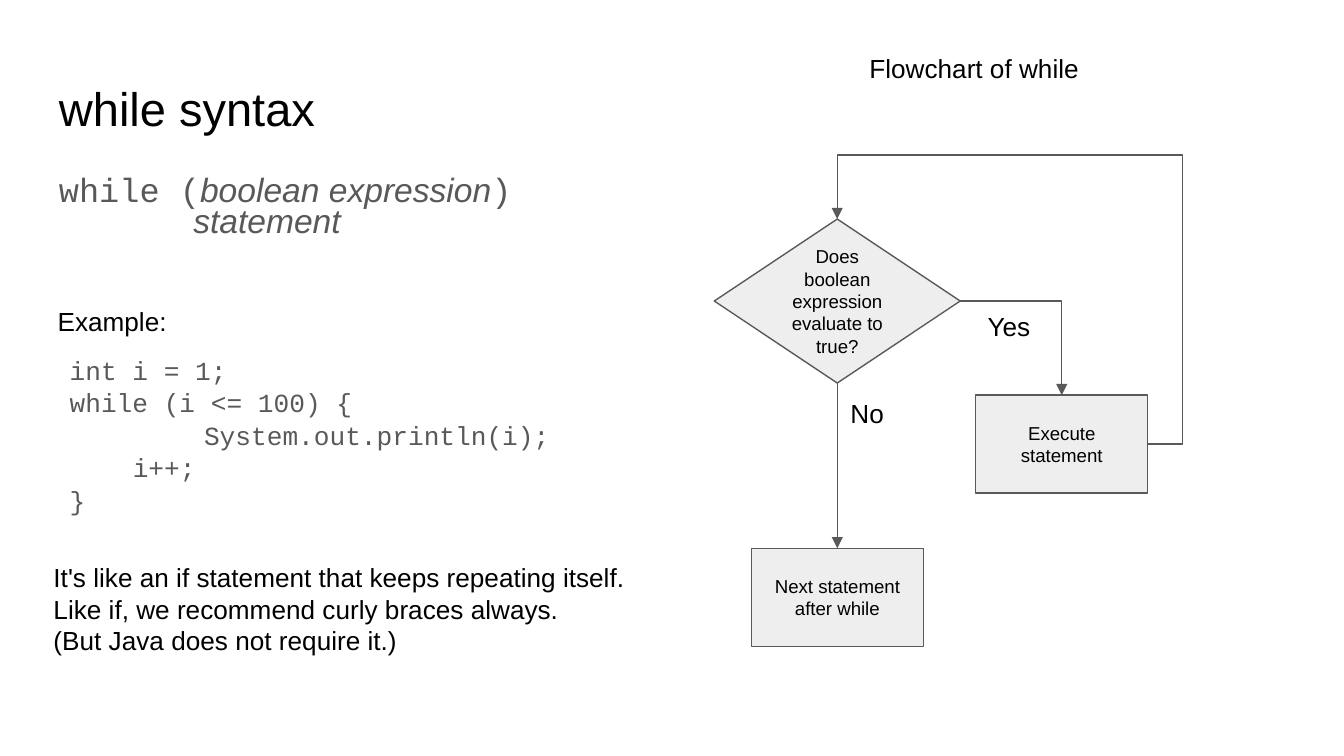
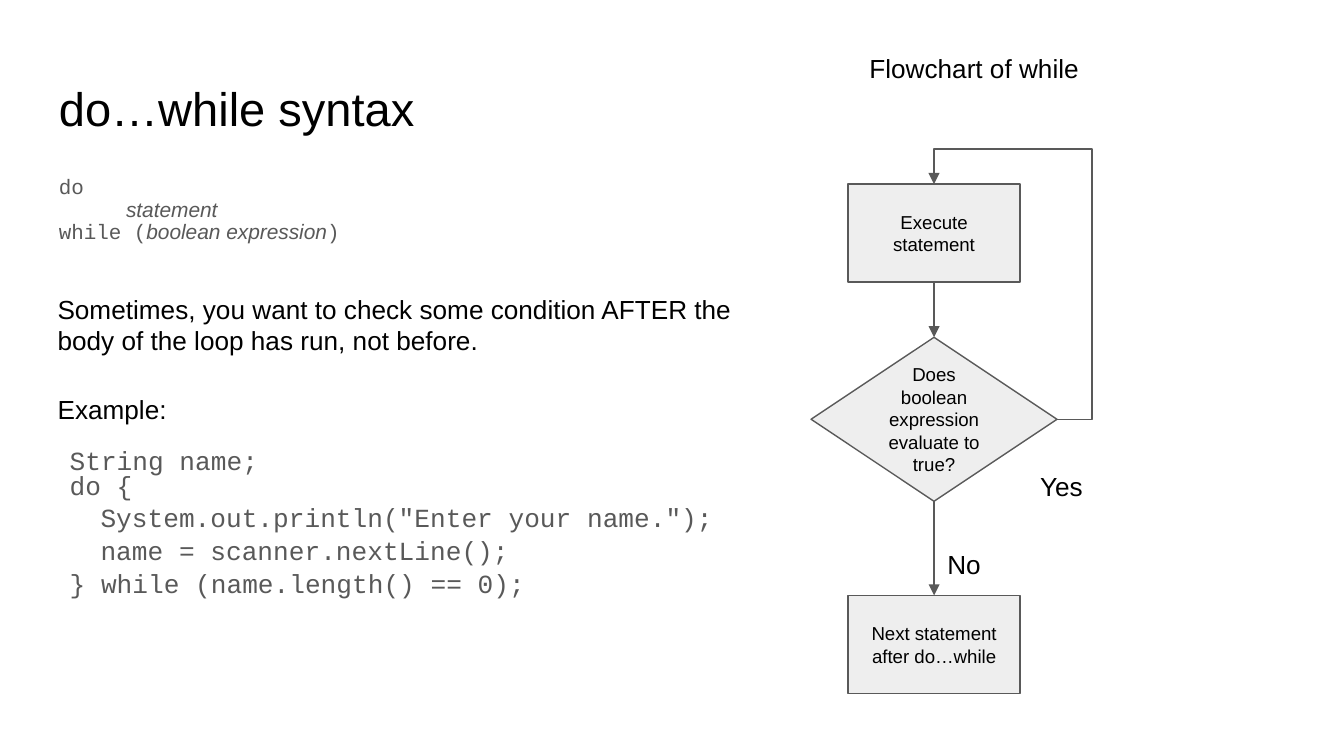
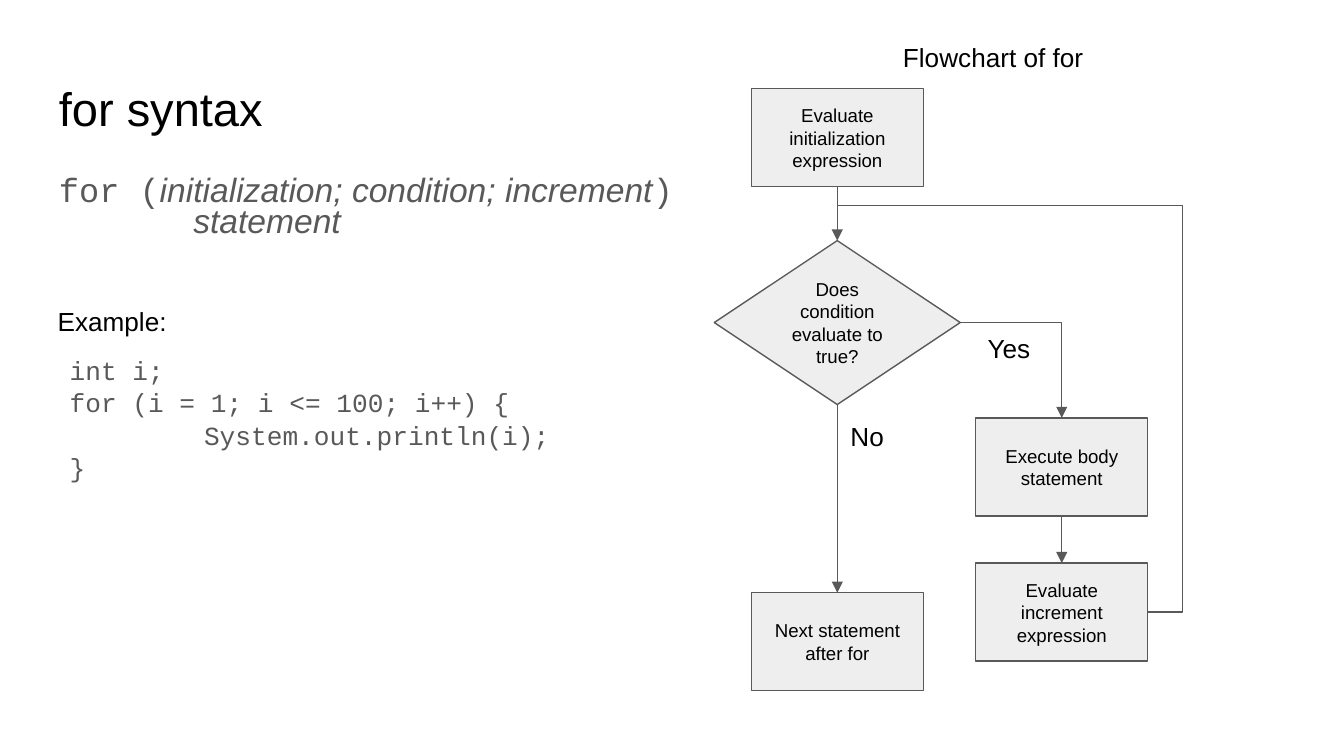
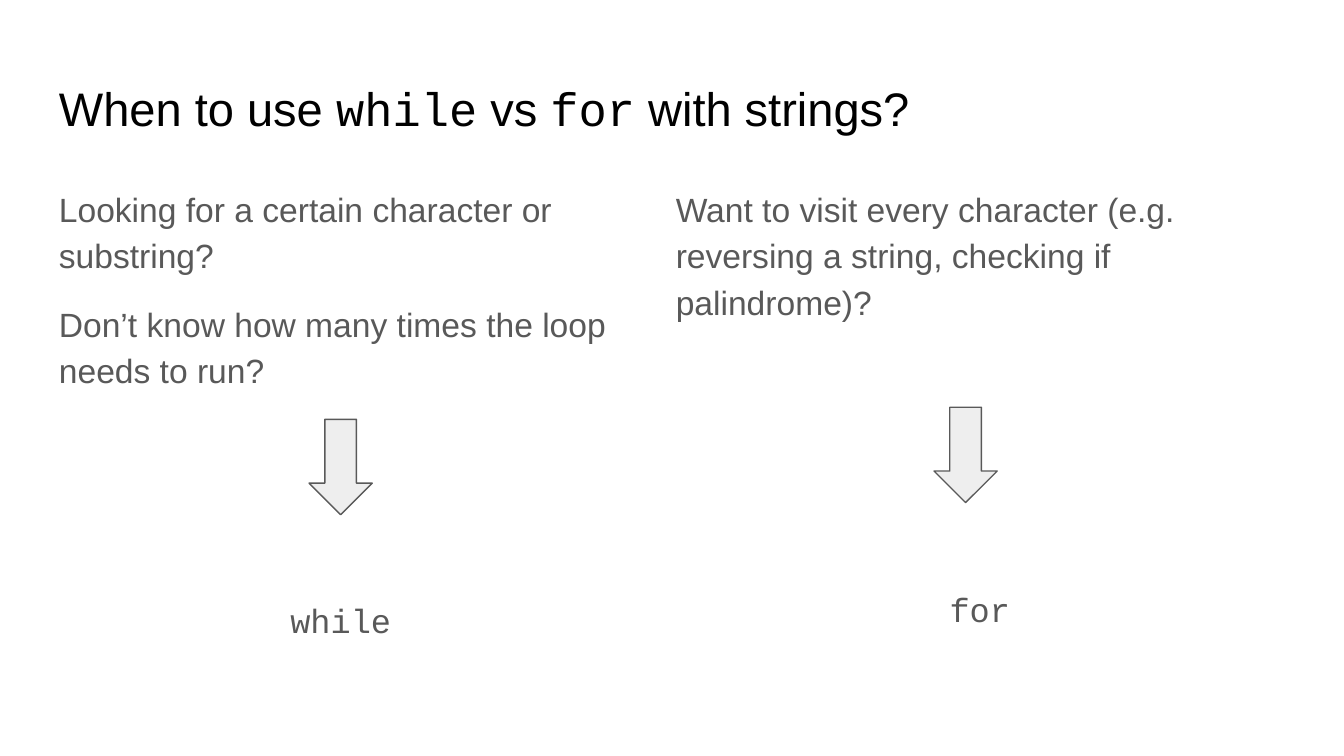
import lxml.etree
import pptx
import pptx.dml.color
import pptx.enum.shapes
import pptx.enum.text
import pptx.oxml.ns
import pptx.util

Inches, Pt = pptx.util.Inches, pptx.util.Pt
SHAPE = pptx.enum.shapes.MSO_SHAPE
LINK = pptx.enum.shapes.MSO_CONNECTOR
qn = pptx.oxml.ns.qn

COLORS = {"ink": "000000", "grey": "595959", "fill": "EEEEEE"}
SANS, MONO = "Arial", "Courier New"
TOP, LEFT, BOTTOM, RIGHT = range(4)

# Formats that the pages share
TITLE = {"size": 25.2}
BODY = {"size": 18, "color": "grey"}
CODE = {"font": MONO, "color": "grey", "spacing": 0.8, "before": 4}
SYNTAX = {"font": MONO, "color": "grey", "spacing": 0.6, "before": 4}
NODE = {"size": 10, "align": "CENTER", "anchor": "MIDDLE"}
NODE_KINDS = {
    "decision": (SHAPE.FLOWCHART_DECISION, 1.83, 1.22),
    "process": (SHAPE.RECTANGLE, 1.28, 0.73),
}


def write_box(page, text, at, preset=None, size=14, font=SANS, color="ink", spacing=None,
              before=0, indents=(), align="LEFT", anchor="TOP"):
    """Add a text box or preset shape; text lists paragraphs, a tuple in one is (text, font, italic)."""
    at = [Inches(length) for length in at]
    if preset is None:
        box = page.shapes.add_textbox(*at)
    else:
        box = page.shapes.add_shape(preset, *at)
        box.shadow.inherit = False
        box.fill.solid()
        box.fill.fore_color.rgb = pptx.dml.color.RGBColor.from_string(COLORS["fill"])
        box.line.color.rgb = pptx.dml.color.RGBColor.from_string(COLORS["grey"])
        box.line.width = Pt(0.75)
    frame = box.text_frame
    frame.word_wrap = True
    frame.vertical_anchor = getattr(pptx.enum.text.MSO_ANCHOR, anchor)
    frame.margin_left = frame.margin_right = frame.margin_top = frame.margin_bottom = Inches(0.1)
    for index, spans in enumerate(text):
        para = frame.paragraphs[0] if index == 0 else frame.add_paragraph()
        para.alignment = getattr(pptx.enum.text.PP_ALIGN, align)
        para.space_before = Pt(before)
        if spacing:
            para.line_spacing = spacing
        if indents and indents[index]:
            para._p.get_or_add_pPr().set("marL", str(Inches(indents[index])))
        for piece in [spans] if isinstance(spans, str) else spans:
            words, face, italic = (piece, font, False) if isinstance(piece, str) else piece
            for row, line in enumerate(words.split("\n")):
                if row:
                    para.add_line_break()
                span = para.add_run()
                span.text = line
                span.font.size = Pt(size)
                span.font.name = face
                span.font.italic = italic
                span.font.color.rgb = pptx.dml.color.RGBColor.from_string(COLORS[color])
        for line_break in para._p.findall(qn("a:br")):
            lxml.etree.SubElement(line_break, qn("a:rPr"), sz=str(int(size * 100)))
    return box


def link(page, start, start_side, end, end_side=None, bend=None, adjust=()):
    """Join two nodes with an arrow, or run a plain line from a node to a point."""
    line = page.shapes.add_connector(LINK.ELBOW if bend else LINK.STRAIGHT, 0, 0, 0, 0)
    line.begin_connect(start, start_side)
    line.line.color.rgb = pptx.dml.color.RGBColor.from_string(COLORS["grey"])
    line.line.width = Pt(0.75)
    if isinstance(end, tuple):
        line.end_x, line.end_y = Inches(end[0]), Inches(end[1])
    else:
        line.end_connect(end, end_side)
        lxml.etree.SubElement(line.line._get_or_add_ln(), qn("a:tailEnd"), type="triangle")
    properties = line._element.spPr
    lxml.etree.SubElement(properties, qn("a:effectLst"))
    if bend:
        geometry = properties.find(qn("a:prstGeom"))
        geometry.set("prst", bend)
        guides = geometry.find(qn("a:avLst"))
        for number, value in enumerate(adjust, 1):
            lxml.etree.SubElement(guides, qn("a:gd"), name=f"adj{number}",
                                  fmla=f"val {round(value * 100000)}")


# Widescreen, 16 to 9
deck = pptx.Presentation()
deck.slide_width = Inches(10)
deck.slide_height = Inches(10 * 9 / 16)
blank = deck.slide_layouts[6]

# Loop pages: syntax and example on the left, flowchart on the right.
# Nodes are (kind, text, centre, top); links are the arguments of link().
question = "Does boolean expression evaluate to true?"
loops = [
    {
        "title": "while syntax",
        "syntax": [["while (", ("boolean expression", SANS, True), ")"],
                   [("statement", SANS, True)]],
        "syntax_format": {"size": 18, "indents": (0, 1)}, "syntax_width": 3.84,
        "code": ["int i = 1;", "while (i <= 100) {", "System.out.println(i);", "i++;", "}"],
        "code_at": (0.42, 2.58, 4.73, 1.37), "code_indents": (0, 0, 1, 0.47, 0),
        "notes": [
            (["Example:"], (0.33, 2.17, 3.28, 0.44)),
            (["It's like an if statement that keeps repeating itself.",
              "Like if, we recommend curly braces always.",
              "(But Java does not require it.)"], (0.3, 4.08, 4.73, 0.91)),
            (["Flowchart of while"], (6.37, 0.29, 2.25, 0.44)),
            (["Yes"], (7.25, 2.21, 0.53, 0.44)),
            (["No"], (6.23, 2.86, 0.53, 0.44)),
        ],
        "nodes": {
            "test": ("decision", question, 6.23, 1.63),
            "body": ("process", "Execute statement", 7.9, 2.94),
            "next": ("process", "Next statement after while", 6.23, 4.08),
        },
        "links": [
            ("test", BOTTOM, "next", TOP),
            ("test", RIGHT, "body", TOP, "bentConnector2"),
            ("body", RIGHT, "test", TOP, "bentConnector4", (-0.113, 1.284)),
        ],
    },
    {
        "title": "do…while syntax",
        "syntax": ["do", [("statement", SANS, True)],
                   ["while (", ("boolean expression", SANS, True), ")"]],
        "syntax_format": {"size": 11.2, "indents": (0, 0.5, 0)}, "syntax_width": 3.84,
        "code": ["String name;\ndo {", 'System.out.println("Enter your name.");',
                 "name = scanner.nextLine();", "} while (name.length() == 0);"],
        "code_at": (0.42, 3.25, 5.2, 1.31), "code_indents": (0, 0.23, 0.23, 0),
        "notes": [
            (["Sometimes, you want to check some condition AFTER the body of the loop "
              "has run, not before."], (0.33, 2.08, 5.37, 0.67)),
            (["Example:"], (0.33, 2.83, 3.28, 0.44)),
            (["Flowchart of while"], (6.37, 0.29, 2.25, 0.44)),
            (["Yes"], (7.64, 3.4, 0.53, 0.44)),
            (["No"], (6.95, 3.98, 0.53, 0.44)),
        ],
        "nodes": {
            "body": ("process", "Execute statement", 6.95, 1.37),
            "test": ("decision", question, 6.95, 2.51),
            "next": ("process", "Next statement after do…while", 6.95, 4.43),
        },
        "links": [
            ("body", BOTTOM, "test", TOP),
            ("test", BOTTOM, "next", TOP),
            ("test", RIGHT, "body", TOP, "bentConnector4", (-0.284, 1.149)),
        ],
    },
    {
        "title": "for syntax",
        "syntax": [["for (", ("initialization; condition; increment", SANS, True), ")"],
                   [("statement", SANS, True)]],
        "syntax_format": {"size": 18, "indents": (0, 1)}, "syntax_width": 4.81,
        "code": ["int i;", "for (i = 1; i <= 100; i++) {", "System.out.println(i);", "}"],
        "code_at": (0.42, 2.58, 4.73, 1.12), "code_indents": (0, 0, 1, 0),
        "notes": [
            (["Example:"], (0.33, 2.17, 3.28, 0.44)),
            (["Flowchart of for"], (6.62, 0.21, 2.25, 0.44)),
            (["Yes"], (7.25, 2.37, 0.53, 0.44)),
            (["No"], (6.23, 3.03, 0.53, 0.44)),
        ],
        "nodes": {
            "start": ("process", "Evaluate initialization expression", 6.23, 0.66),
            "test": ("decision", "Does condition evaluate to true?", 6.23, 1.79),
            "body": ("process", "Execute body statement", 7.9, 3.11),
            "step": ("process", "Evaluate increment expression", 7.9, 4.19),
            "next": ("process", "Next statement after for", 6.23, 4.41),
        },
        "links": [
            ("start", BOTTOM, (6.23, 1.59)),
            ("test", BOTTOM, "next", TOP),
            ("test", RIGHT, "body", TOP, "bentConnector2"),
            ("body", BOTTOM, "step", TOP),
            ("step", RIGHT, "test", TOP, "bentConnector4", (-0.113, 1.094)),
        ],
    },
]

for loop in loops:
    page = deck.slides.add_slide(blank)
    write_box(page, [loop["title"]], (0.34, 0.49, 3.76, 0.63), **TITLE)
    write_box(page, loop["syntax"], (0.34, 1.26, loop["syntax_width"], 0.85),
              **SYNTAX, **loop["syntax_format"])
    write_box(page, loop["code"], loop["code_at"], indents=loop["code_indents"], **CODE)

    # Flowchart
    nodes = {}
    for name, (kind, text, center, top) in loop["nodes"].items():
        preset, width, height = NODE_KINDS[kind]
        nodes[name] = write_box(page, [text], (center - width / 2, top, width, height),
                                preset, **NODE)
    for start, side, end, *route in loop["links"]:
        link(page, nodes[start], side, nodes.get(end, end), *route)

    # Notes and branch labels
    for text, at in loop["notes"]:
        write_box(page, text, at)

# Choosing between the loops: question, arrow and answer in each column
page = deck.slides.add_slide(blank)
write_box(page, [["When to use ", ("while", MONO, False), " vs ", ("for", MONO, False),
                  " with strings?"]], (0.34, 0.49, 9.32, 0.63), **TITLE)
choices = [
    (["Looking for a certain character or substring?",
      "Don’t know how many times the loop needs to run?"],
     (0.34, 1.26, 4.5, 1.77), (2.3, 3.12), "while", (0.99, 4.32, 3.09, 0.5)),
    (["Want to visit every character (e.g. reversing a string, checking if palindrome)?"],
     (4.93, 1.26, 4.5, 1.42), (6.95, 3.03), "for", (6.37, 4.24, 1.84, 0.5)),
]
for reasons, reasons_at, arrow_at, answer, answer_at in choices:
    write_box(page, reasons, reasons_at, spacing=1.15, before=12, **BODY)
    write_box(page, [], (*arrow_at, 0.47, 0.71), SHAPE.DOWN_ARROW)
    write_box(page, [answer], answer_at, font=MONO, spacing=1.15, align="CENTER", **BODY)

deck.save("out.pptx")
